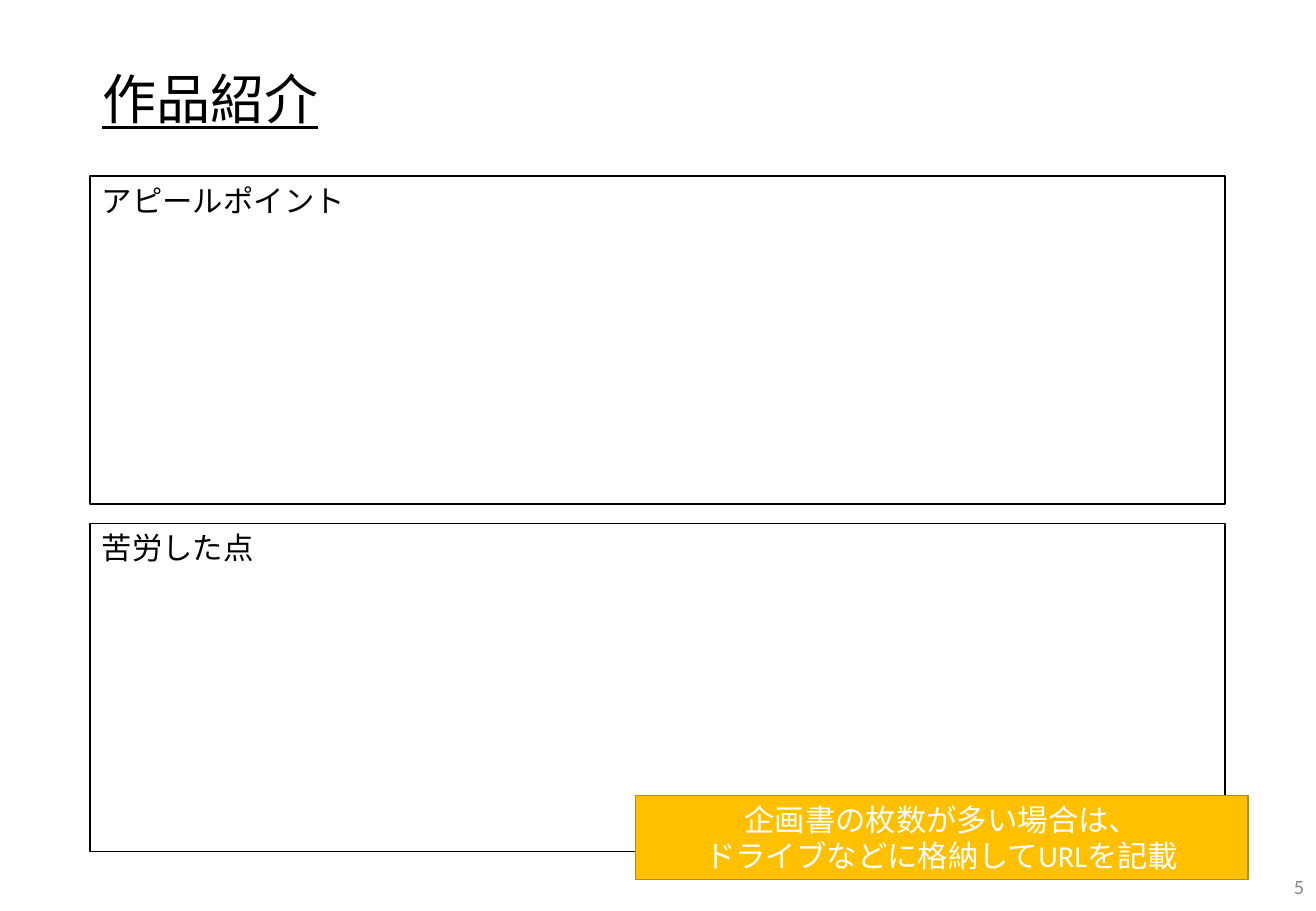
from pptx import Presentation
from pptx.dml.color import RGBColor
from pptx.enum.shapes import MSO_SHAPE as Preset
from pptx.enum.text import MSO_ANCHOR as Anchor, MSO_AUTO_SIZE as AutoSize, PP_ALIGN as Align
from pptx.util import Inches, Pt

FONT = "Calibri"
WIDTH, HEIGHT = 10.83, 7.5
TITLE = "作品紹介"
SECTIONS = ["アピールポイント", "苦労した点"]
NOTICE = ["企画書の枚数が多い場合は、", "ドライブなどに格納してURLを記載"]
PAGE_NUMBER = "5"

MARGIN = 0.74
CONTENT_WIDTH = 9.34
SECTION_TOP, SECTION_HEIGHT, SECTION_GAP = 1.45, 2.7, 0.16


def color(value):
    return RGBColor.from_string(value)


def write(shape, lines, size, ink, align=Align.LEFT, anchor=Anchor.MIDDLE):
    frame = shape.text_frame
    frame.word_wrap = True
    frame.auto_size = AutoSize.NONE
    frame.vertical_anchor = anchor
    for index, line in enumerate(lines):
        paragraph = frame.paragraphs[0] if index == 0 else frame.add_paragraph()
        paragraph.alignment = align
        run = paragraph.add_run()
        run.text = line
        run.font.name = FONT
        run.font.size = Pt(size)
        run.font.color.rgb = color(ink)


def add_box(slide, bounds, fill, line):
    shape = slide.shapes.add_shape(Preset.RECTANGLE, *map(Inches, bounds))
    shape.shadow.inherit = False
    shape.fill.solid()
    shape.fill.fore_color.rgb = color(fill)
    shape.line.color.rgb = color(line)
    shape.line.width = Pt(1)
    return shape


def main():
    presentation = Presentation()
    presentation.slide_width = Inches(WIDTH)
    presentation.slide_height = Inches(HEIGHT)
    slide = presentation.slides.add_slide(presentation.slide_layouts[5])

    title = slide.shapes.title
    title.left, title.top = Inches(MARGIN), Inches(0.4)
    title.width, title.height = Inches(CONTENT_WIDTH), Inches(0.88)
    write(title, [TITLE], 32, "000000")
    heading = title.text_frame.paragraphs[0]
    heading.line_spacing = 0.9
    heading.runs[0].font.underline = True

    for row, label in enumerate(SECTIONS):
        top = SECTION_TOP + row * (SECTION_HEIGHT + SECTION_GAP)
        section = add_box(slide, (MARGIN, top, CONTENT_WIDTH, SECTION_HEIGHT), "FFFFFF", "000000")
        write(section, [label], 18, "000000", anchor=Anchor.TOP)

    notice = add_box(slide, (5.23, 6.55, 5.04, 0.69), "FFC000", "BA8C00")
    write(notice, NOTICE, 18, "FFFFFF", Align.CENTER)

    number_width, number_height = 2.44, 0.4
    number = slide.shapes.add_textbox(
        Inches(WIDTH - number_width), Inches(HEIGHT - number_height),
        Inches(number_width), Inches(number_height))
    write(number, [PAGE_NUMBER], 12, "888888", Align.RIGHT)

    presentation.save("out.pptx")


if __name__ == "__main__":
    main()
